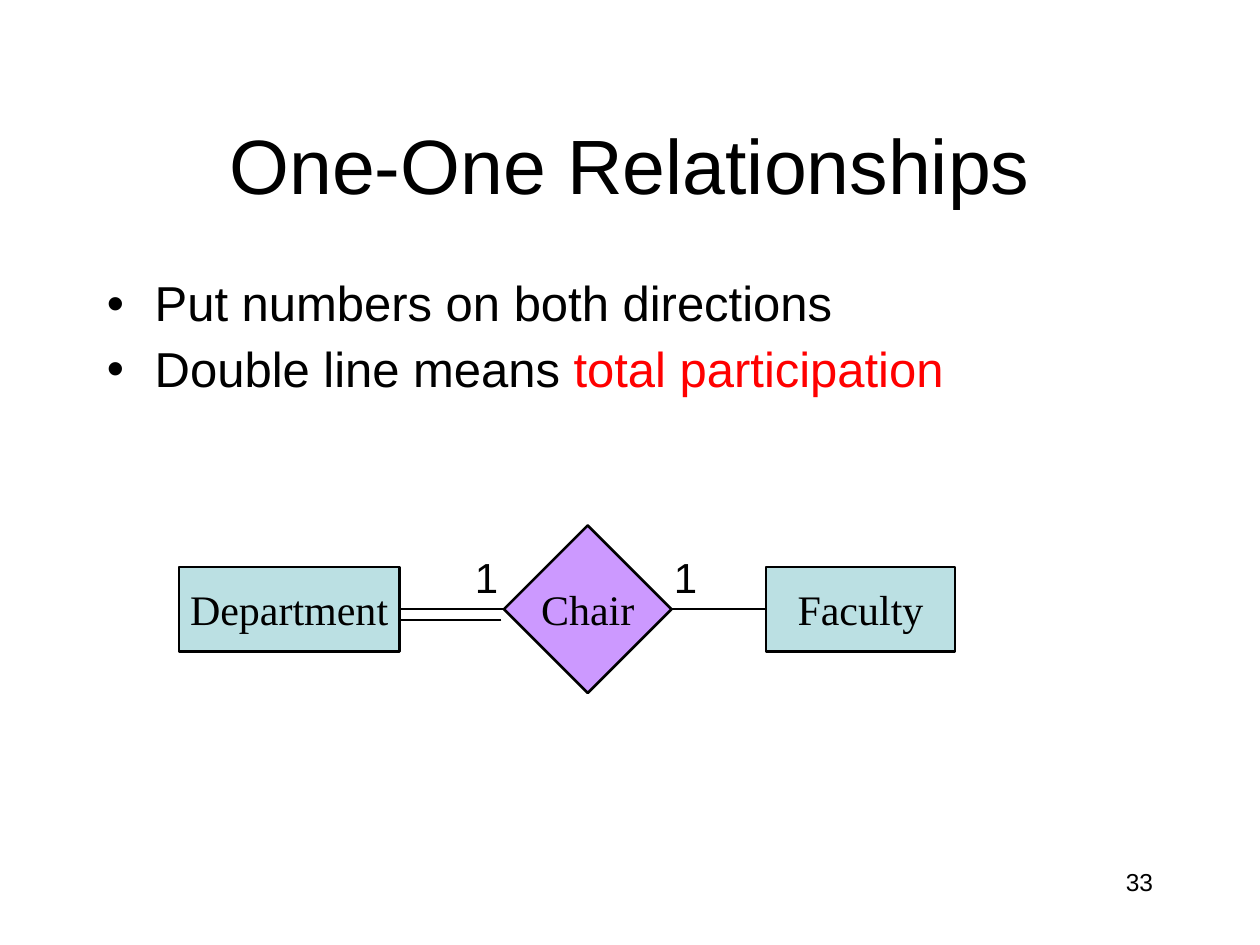
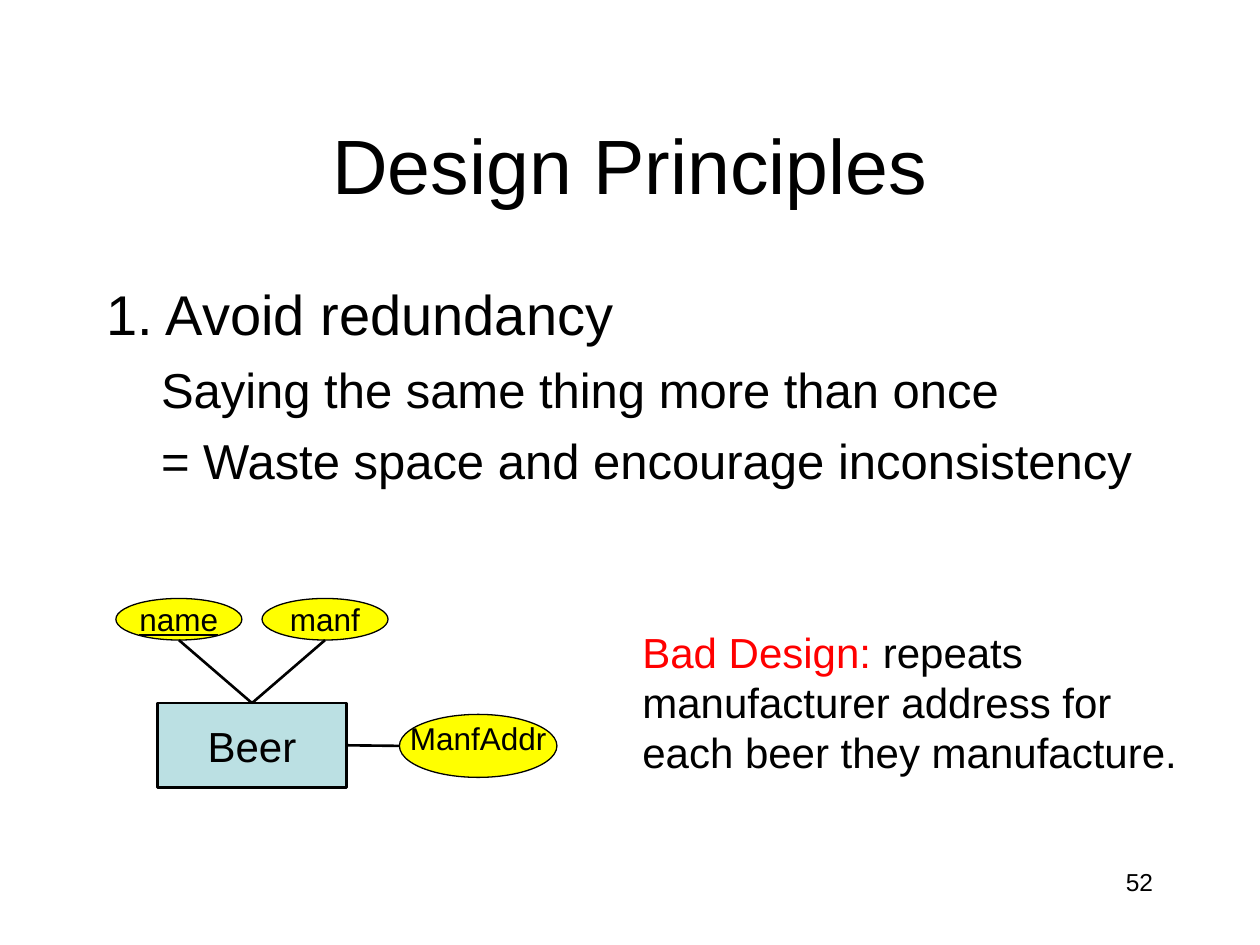
from lxml.etree import SubElement
from pptx import Presentation
from pptx.dml.color import RGBColor
from pptx.enum.shapes import MSO_CONNECTOR, MSO_SHAPE
from pptx.enum.text import MSO_ANCHOR, PP_ALIGN
from pptx.oxml.ns import qn
from pptx.util import Inches, Pt

COLOURS = {
    "text": "000000",
    "emphasis": "FF0000",
    "entity": "BBE0E3",
    "relationship": "CC99FF",
    "attribute": "FFFF00",
}
SANS, SERIF = "Arial", "Times New Roman"
TOP, LEFT, RIGHT = 0, 1, 3
HANGING = (0.38, -0.38)


def colour(name):
    return RGBColor.from_string(COLOURS[name])


def apply(target, formats):
    for attribute, value in formats.items():
        setattr(target, attribute, value)


def write(paragraph, runs, size, font=SANS, **formats):
    """Add (text, colour name) runs; a plain string is one run in text colour."""
    if isinstance(runs, str):
        runs = [(runs, "text")]
    for text, tint in runs:
        run = paragraph.add_run()
        run.text = text
        apply(run.font, {"size": Pt(size), "name": font, **formats})
        run.font.color.rgb = colour(tint)


def set_indent(paragraph, margin, first_line, bullet=None):
    properties = paragraph._p.get_or_add_pPr()
    properties.set("marL", str(Inches(margin)))
    properties.set("indent", str(Inches(first_line)))
    if bullet:
        SubElement(properties, qn("a:buFont")).set("typeface", SANS)
        SubElement(properties, qn("a:buChar")).set("char", bullet)


def add_text(slide, box, runs, size, align=PP_ALIGN.LEFT, anchor=MSO_ANCHOR.TOP):
    frame = slide.shapes.add_textbox(*map(Inches, box)).text_frame
    apply(frame, {"word_wrap": True, "vertical_anchor": anchor})
    paragraph = frame.paragraphs[0]
    paragraph.alignment = align
    write(paragraph, runs, size)


def add_body(slide, height, lines, spacing=1.0, bullet=None):
    """Fill the body with lines of (runs, size, (margin, first-line indent))."""
    box = slide.shapes.add_textbox(*map(Inches, (0.75, 2.17, 8.5, height)))
    frame = box.text_frame
    frame.word_wrap = True
    for number, (runs, size, indent) in enumerate(lines):
        paragraph = frame.add_paragraph() if number else frame.paragraphs[0]
        set_indent(paragraph, *indent, bullet)
        paragraph.line_spacing = spacing
        if number:
            paragraph.space_before = Pt(7)
        write(paragraph, runs, size)


def add_node(slide, preset, box, label, fill, size=24, font=SANS, outline=1.5,
             anchor=MSO_ANCHOR.MIDDLE, spacing=1.0, **formats):
    node = slide.shapes.add_shape(preset, *map(Inches, box))
    node.shadow.inherit = False
    node.fill.solid()
    node.fill.fore_color.rgb = colour(fill)
    node.line.color.rgb = colour("text")
    node.line.width = Pt(outline)
    apply(node.text_frame, {"word_wrap": False, "vertical_anchor": anchor})
    paragraph = node.text_frame.paragraphs[0]
    apply(paragraph, {"alignment": PP_ALIGN.CENTER, "line_spacing": spacing})
    write(paragraph, label, size, font, **formats)
    return node


def add_entity(slide, box, label, font=SANS):
    return add_node(slide, MSO_SHAPE.RECTANGLE, box, label, "entity", font=font)


def add_attribute(slide, box, label, **formats):
    return add_node(slide, MSO_SHAPE.OVAL, box, label, "attribute", size=18,
                    outline=0.75, **formats)


def add_line(slide, start, end):
    """Each end is an (x, y) point in inches or a (shape, side) pair."""
    points = [(0, 0) if hasattr(place[0], "text_frame") else place
              for place in (start, end)]
    line = slide.shapes.add_connector(
        MSO_CONNECTOR.STRAIGHT, *(Inches(v) for point in points for v in point))
    line.line.color.rgb = colour("text")
    line.line.width = Pt(1.5)
    SubElement(line._element.spPr, qn("a:effectLst"))
    for place, join in ((start, line.begin_connect), (end, line.end_connect)):
        if hasattr(place[0], "text_frame"):
            join(*place)


def add_slide(deck, title, number):
    slide = deck.slides.add_slide(deck.slide_layouts[6])
    add_text(slide, (0.75, 0.67, 8.5, 1.25), title, 44, PP_ALIGN.CENTER,
             MSO_ANCHOR.MIDDLE)
    add_text(slide, (7.17, 6.83, 2.08, 0.5), str(number), 14, PP_ALIGN.RIGHT)
    return slide


def build_one_one(deck):
    slide = add_slide(deck, "One-One Relationships", 33)
    participation = [("Double line means ", "text"),
                     ("total participation", "emphasis")]
    add_body(slide, 4.5, [("Put numbers on both directions", 28, HANGING),
                          (participation, 28, HANGING)],
             spacing=0.9, bullet="•")
    department = add_entity(slide, (1.42, 4.5, 1.75, 0.67), "Department", SERIF)
    faculty = add_entity(slide, (6.08, 4.5, 1.5, 0.67), "Faculty", SERIF)
    chair = add_node(slide, MSO_SHAPE.DIAMOND, (4, 4.17, 1.33, 1.33), "Chair",
                     "relationship", font=SERIF)
    add_line(slide, (chair, RIGHT), (faculty, LEFT))
    add_line(slide, (chair, LEFT), (department, RIGHT))
    add_line(slide, (3.98, 4.92), (3.17, 4.92))
    for cardinality_left in (3.67, 5.25):
        add_text(slide, (cardinality_left, 4.33, 0.5, 0.5), "1", 24)


def build_design_principles(deck):
    slide = add_slide(deck, "Design Principles", 52)
    detail_indent = (0.43, 0)
    add_body(slide, 1.83, [
        ("1. Avoid redundancy", 32, HANGING),
        ("Saying the same thing more than once", 28, detail_indent),
        ("= Waste space and encourage inconsistency", 28, detail_indent),
    ])
    beer = add_entity(slide, (1.25, 5.58, 1.5, 0.67), "Beer")
    for label, left, is_key in (("name", 0.92, True), ("manf", 2.08, False)):
        add_attribute(slide, (left, 4.75, 1, 0.33), label, underline=is_key)
        add_line(slide, (left + 0.5, 5.08), (beer, TOP))
    add_attribute(slide, (3.17, 5.67, 1.25, 0.5), "ManfAddr",
                  anchor=MSO_ANCHOR.TOP, spacing=0.7)
    add_line(slide, (beer, RIGHT), (3.17, 5.92))
    add_text(slide, (5, 4.92, 4.67, 1.3), [
        ("Bad Design: ", "emphasis"),
        ("repeats manufacturer address for each beer they manufacture.", "text"),
    ], 24)


def main():
    deck = Presentation()
    deck.slide_width, deck.slide_height = Inches(10), Inches(7.5)
    build_one_one(deck)
    build_design_principles(deck)
    deck.save("out.pptx")


if __name__ == "__main__":
    main()
